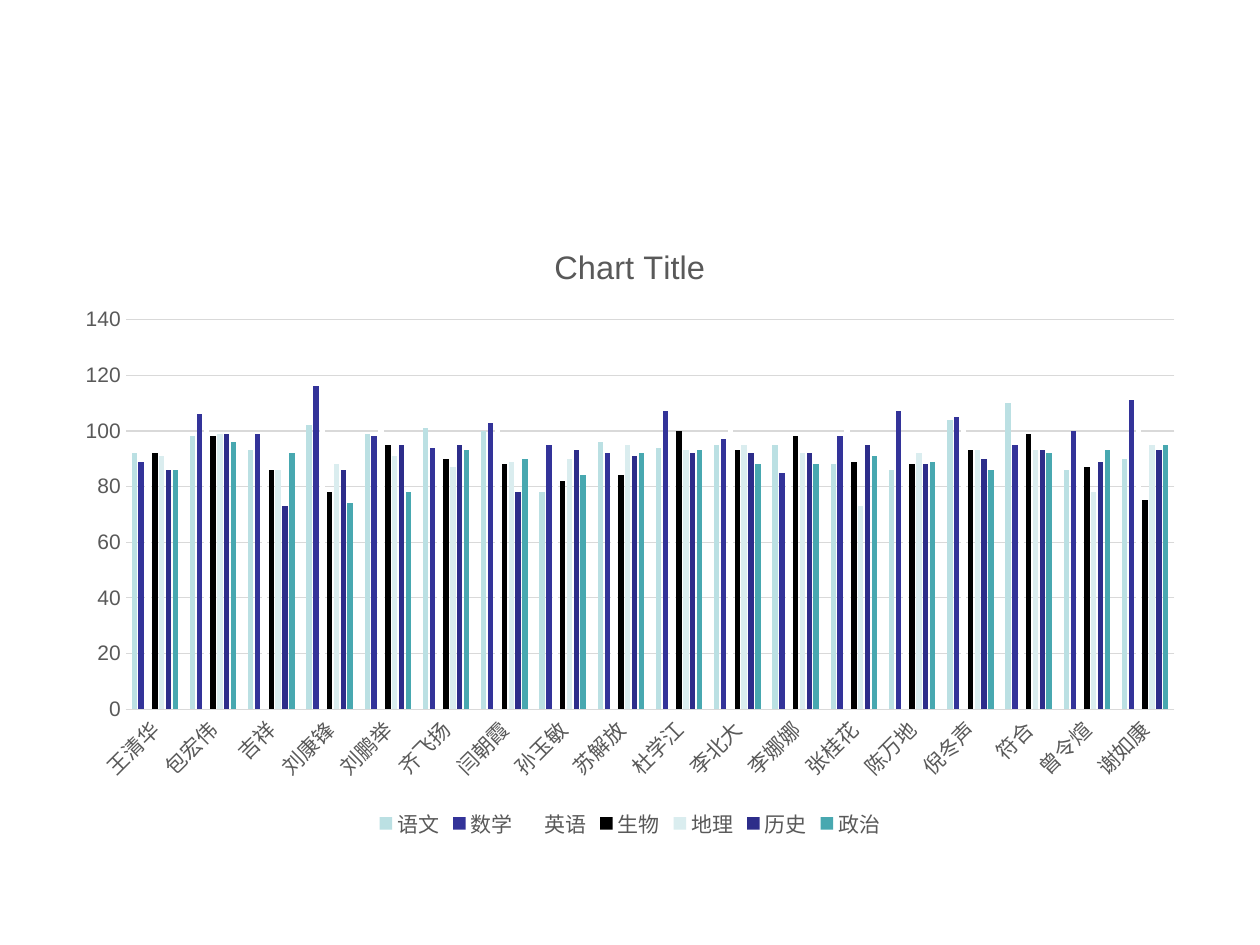
"""Build a slide with a clustered column chart of student marks by subject."""
from pptx import Presentation
from pptx.chart.data import CategoryChartData
from pptx.dml.color import RGBColor
from pptx.enum.chart import XL_CHART_TYPE, XL_LEGEND_POSITION, XL_TICK_MARK
from pptx.oxml.ns import qn
from pptx.util import Pt

STUDENTS = ["王清华", "包宏伟", "吉祥", "刘康锋", "刘鹏举", "齐飞扬", "闫朝霞", "孙玉敏", "苏解放",
            "杜学江", "李北大", "李娜娜", "张桂花", "陈万地", "倪冬声", "符合", "曾令煊", "谢如康"]
SUBJECTS = [
    ("语文", "BBE0E3", [92, 98, 93, 102, 99, 101, 100, 78, 96, 94, 95, 95, 88, 86, 104, 110, 86, 90]),
    ("数学", "333399", [89, 106, 99, 116, 98, 94, 103, 95, 92, 107, 97, 85, 98, 107, 105, 95, 100, 111]),
    ("英语", "FFFFFF", [94, 108, 92, 113, 101, 99, 104, 94, 96, 96, 102, 99, 101, 89, 105, 98, 97, 116]),
    ("生物", "000000", [92, 98, 86, 78, 95, 90, 88, 82, 84, 100, 93, 98, 89, 88, 93, 99, 87, 75]),
    ("地理", "DAEDEF", [91, 99, 86, 88, 91, 87, 89, 90, 95, 93, 95, 92, 73, 92, 93, 93, 78, 95]),
    ("历史", "2D2D8A", [86, 99, 73, 86, 95, 95, 78, 93, 91, 92, 92, 92, 95, 88, 90, 93, 89, 93]),
    ("政治", "48A8B0", [86, 96, 92, 74, 78, 93, 90, 84, 92, 93, 88, 88, 91, 89, 86, 92, 93, 95]),
]
TEXT, RULE = "595959", "D9D9D9"


def colour(code):
    return RGBColor.from_string(code)


def set_font(font, size, code=TEXT):
    font.name, font.size, font.bold = "Arial", Pt(size), False
    font.color.rgb = colour(code)


def set_rule(line):
    line.color.rgb = colour(RULE)
    line.width = Pt(0.75)


def add_marks_chart(slide):
    marks = CategoryChartData()
    marks.categories = STUDENTS
    for subject, _, scores in SUBJECTS:
        marks.add_series(subject, scores)
    chart = slide.shapes.add_chart(XL_CHART_TYPE.COLUMN_CLUSTERED,
                                   Pt(36), Pt(126), Pt(648), Pt(356.4), marks).chart
    set_font(chart.font, 10, "000000")

    title = chart.chart_title.text_frame.paragraphs[0].add_run()
    title.text = "Chart Title"
    set_font(title.font, 18.6)
    chart.chart_title.include_in_layout = False

    chart.has_legend = True
    chart.legend.position = XL_LEGEND_POSITION.BOTTOM
    chart.legend.include_in_layout = False
    set_font(chart.legend.font, 12)

    columns = chart.plots[0]
    columns.gap_width, columns.overlap, columns.vary_by_categories = 219, -27, False
    for series, (_, code, _) in zip(columns.series, SUBJECTS):
        series.format.fill.solid()
        series.format.fill.fore_color.rgb = colour(code)
        series.format.line.fill.background()
        series.invert_if_negative = False

    students, scale = chart.category_axis, chart.value_axis
    for axis in (students, scale):
        axis.major_tick_mark = axis.minor_tick_mark = XL_TICK_MARK.NONE
        set_font(axis.tick_labels.font, 12)
    set_rule(students.format.line)
    label_body = students._element.find(qn("c:txPr")).find(qn("a:bodyPr"))
    label_body.set("rot", "-2700000")
    label_body.set("vert", "horz")
    scale.minimum_scale, scale.maximum_scale, scale.major_unit = 0, 140, 20
    scale.format.line.fill.background()
    scale.has_major_gridlines = True
    set_rule(scale.major_gridlines.format.line)


def main():
    deck = Presentation()
    deck.slide_width, deck.slide_height = Pt(720), Pt(540)
    slide = deck.slides.add_slide(deck.slide_layouts[6])
    add_marks_chart(slide)
    deck.save("out.pptx")


if __name__ == "__main__":
    main()
